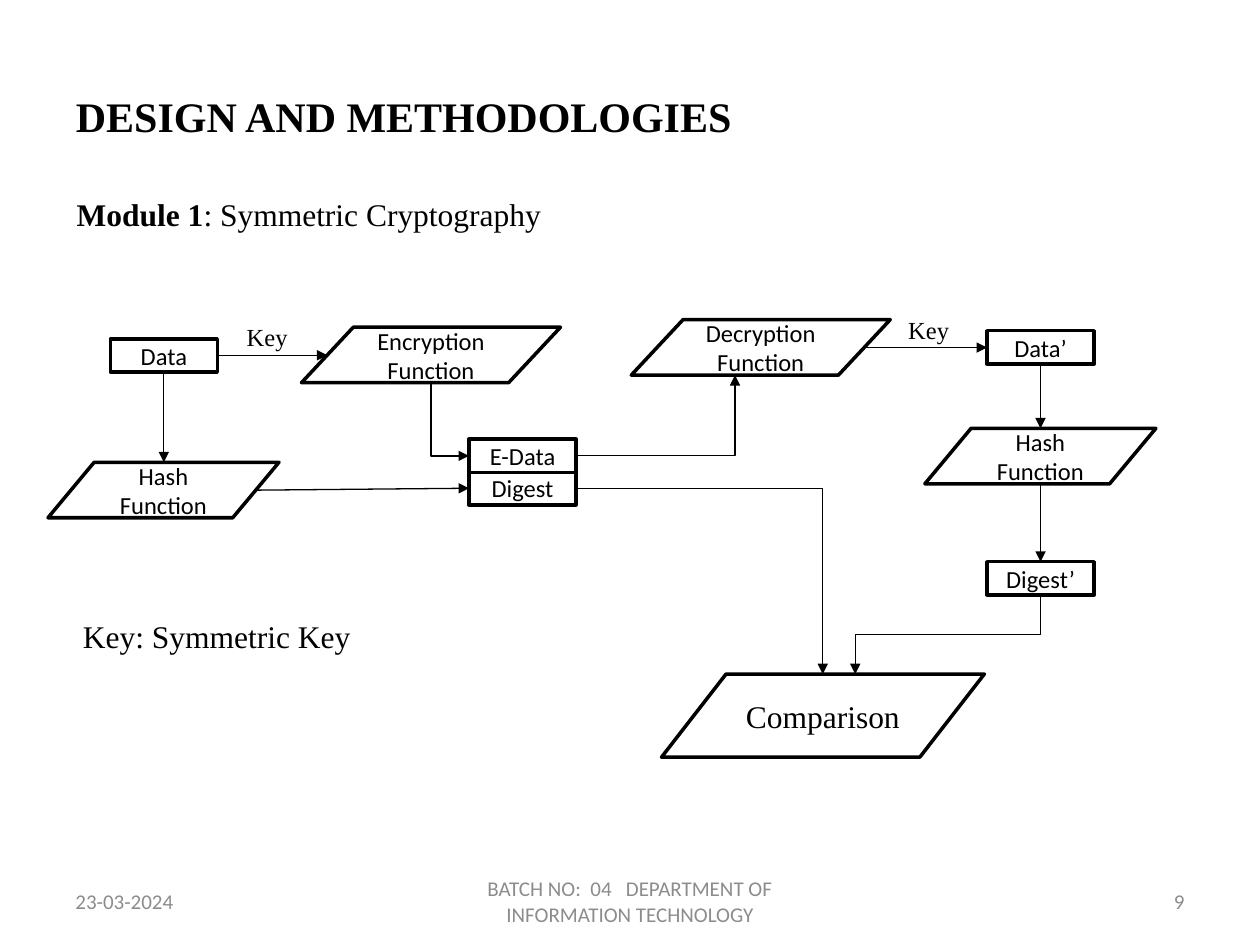
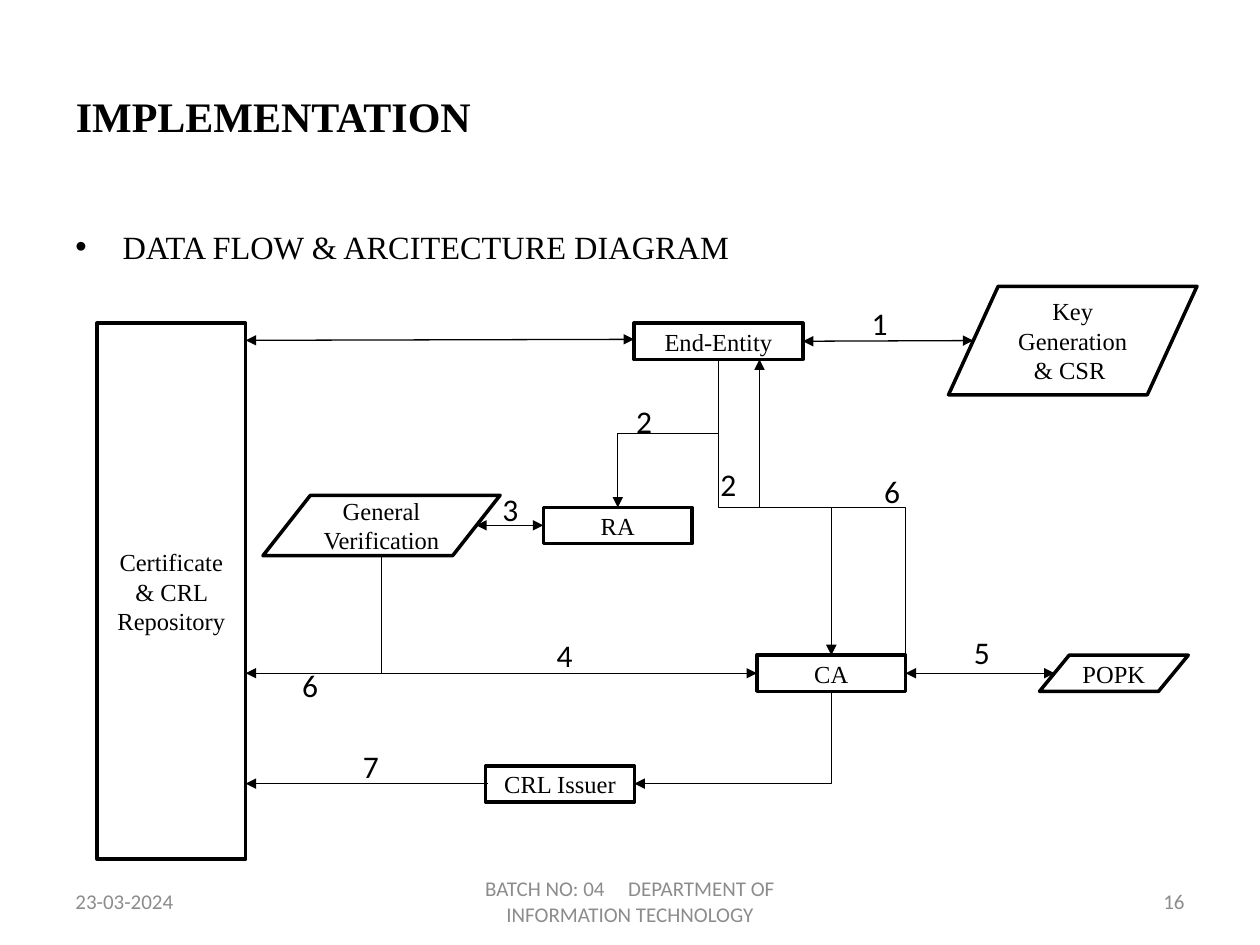
import pptx
import pptx.dml.color
import pptx.enum.shapes
import pptx.enum.text
import pptx.oxml.ns
import pptx.util
from lxml import etree

Pt = pptx.util.Pt
SHAPE = pptx.enum.shapes.MSO_SHAPE
CONNECTOR = pptx.enum.shapes.MSO_CONNECTOR
ALIGN = pptx.enum.text.PP_ALIGN
ANCHOR = pptx.enum.text.MSO_ANCHOR
qn = pptx.oxml.ns.qn

SERIF, SANS = "Times New Roman", "Calibri"
BLACK, WHITE, GRAY = "000000", "FFFFFF", "8C8C8C"
ONE_CORNER, TWO_CORNERS = "bentConnector2", "bentConnector3"


def color(value):
    return pptx.dml.color.RGBColor.from_string(value)


def write(frame, text, font=SERIF, size=14, ink=BLACK, bold=False, lead="",
          align=ALIGN.LEFT, anchor=ANCHOR.TOP):
    """Fill a text frame, one paragraph per line, after an optional bold lead."""
    frame.word_wrap = True
    frame.vertical_anchor = anchor
    for index, line in enumerate(text.split("\n")):
        para = frame.add_paragraph() if index else frame.paragraphs[0]
        para.alignment = align
        for words, heavy in ((lead, True), (line, bold)):
            if words:
                span = para.add_run()
                span.text = words
                span.font.name = font
                span.font.size = Pt(size)
                span.font.bold = heavy
                span.font.color.rgb = color(ink)


class Diagram:
    """Draws styled flow diagram elements on the current page."""

    def __init__(self, deck, node_font=SANS):
        self.deck = deck
        self.node_font = node_font
        self.page = None

    def start(self, title, footer, number, node_font):
        self.page = self.deck.slides.add_slide(self.deck.slide_layouts[6])
        self.node_font = node_font
        self.label(title, 36.3, 21, 648, 90, size=24, bold=True, anchor=ANCHOR.MIDDLE)
        for text, left, width, align in (
            ("23-03-2024", 36, 168, ALIGN.LEFT),
            (footer, 246, 228, ALIGN.CENTER),
            (number, 516, 168, ALIGN.RIGHT),
        ):
            self.label(text, left, 500.5, width, 28.8, font=SANS, size=12, ink=GRAY,
                       align=align, anchor=ANCHOR.MIDDLE)

    def label(self, text, left, top, width, height, **style):
        box = self.page.shapes.add_textbox(Pt(left), Pt(top), Pt(width), Pt(height))
        write(box.text_frame, text, **style)
        return box

    def bullet(self, text, left, top, width, height, size):
        box = self.label(text, left, top, width, height, size=size)
        para = box.text_frame.paragraphs[0]
        para.space_before = Pt(size * 0.2)
        props = para._p.get_or_add_pPr()
        props.set("marL", str(Pt(27)))
        props.set("indent", str(-Pt(27)))
        etree.SubElement(props, qn("a:buFont")).set("typeface", "Arial")
        etree.SubElement(props, qn("a:buChar")).set("char", "•")

    def node(self, text, left, top, width, height, kind=SHAPE.RECTANGLE, **style):
        box = self.page.shapes.add_shape(kind, Pt(left), Pt(top), Pt(width), Pt(height))
        box.shadow.inherit = False
        box.fill.solid()
        box.fill.fore_color.rgb = color(WHITE)
        box.line.color.rgb = color(BLACK)
        box.line.width = Pt(2)
        write(box.text_frame, text, **{"font": self.node_font, "align": ALIGN.CENTER,
                                       "anchor": ANCHOR.MIDDLE, **style})

    def function(self, text, left, top, width, height, **style):
        self.node(text, left, top, width, height, SHAPE.FLOWCHART_DATA, **style)

    def connect(self, kind, x1, y1, x2, y2, both=False):
        line = self.page.shapes.add_connector(kind, Pt(x1), Pt(y1), Pt(x2), Pt(y2))
        line.line.color.rgb = color(BLACK)
        line.line.width = Pt(0.75)
        stroke = line.line._get_or_add_ln()
        for end in ("a:headEnd", "a:tailEnd") if both else ("a:tailEnd",):
            etree.SubElement(stroke, qn(end)).set("type", "triangle")
        etree.SubElement(line._element.spPr, qn("a:effectLst"))
        return line

    def arrow(self, x1, y1, x2, y2, both=False):
        self.connect(CONNECTOR.STRAIGHT, x1, y1, x2, y2, both)

    def elbow(self, x1, y1, x2, y2, bend, upright=False):
        """Draw a bent arrow that leaves sideways, or vertically when upright."""
        turn = 0
        if upright:
            run, rise = x2 - x1, y2 - y1
            middle_x, middle_y = (x1 + x2) / 2, (y1 + y2) / 2
            turn, sign = (90, 0.5) if run < 0 < rise else (270, -0.5)
            x1, x2 = middle_x - sign * rise, middle_x + sign * rise
            y1, y2 = middle_y + sign * run, middle_y - sign * run
        line = self.connect(CONNECTOR.ELBOW, x1, y1, x2, y2)
        props = line._element.spPr
        props.find(qn("a:prstGeom")).set("prst", bend)
        if turn:
            props.find(qn("a:xfrm")).set("rot", str(turn * 60000))


def draw_cryptography(diagram):
    diagram.start("DESIGN AND METHODOLOGIES",
                  "BATCH NO:  04   DEPARTMENT OF INFORMATION TECHNOLOGY", "9", SANS)
    diagram.label(": Symmetric Cryptography", 36.7, 108, 306, 29, size=18, lead="Module 1")
    diagram.label("Key: Symmetric Key", 40.3, 349.2, 239, 29, size=18)
    for left, top in ((133.9, 180.7), (511.9, 176.4)):
        diagram.label("Key", left, top, 83.5, 24.5)

    for text, left, top in (
        ("Data", 63, 193.7), ("Digest", 268, 269.5), ("E-Data", 268, 251),
        ("Data’", 564, 189), ("Digest’", 564, 321),
    ):
        diagram.node(text, left, top, 61.2, 19)
    for text, left, top, width in (
        ("Hash Function", 27.4, 264.2, 132), ("Encryption Function", 172.3, 187, 148),
        ("Decryption Function", 360.7, 182.7, 148), ("Hash Function", 528.5, 244.8, 132),
    ):
        diagram.function(text, left, top, width, 31.7)
    diagram.function("Comparison", 378, 385.2, 184.5, 47.5, font=SERIF, size=18)

    for ends in (
        (93.6, 212.6, 93.6, 264.2), (124.2, 203, 187.1, 203), (146, 280.1, 268, 279),
        (494, 198.6, 564, 198.6), (594.6, 208, 594.6, 244.8), (594.6, 276.5, 594.6, 321),
    ):
        diagram.arrow(*ends)
    diagram.elbow(329.2, 260.5, 420, 214.4, ONE_CORNER)
    diagram.elbow(329.2, 279, 470.2, 385.2, ONE_CORNER)
    diagram.elbow(246.3, 218.7, 268, 260.5, ONE_CORNER, upright=True)
    diagram.elbow(594.6, 340, 488.7, 385.2, TWO_CORNERS, upright=True)


def draw_data_flow(diagram):
    diagram.start("IMPLEMENTATION",
                  "BATCH NO: 04     DEPARTMENT OF INFORMATION TECHNOLOGY", "16", SERIF)
    diagram.bullet("DATA FLOW & ARCITECTURE DIAGRAM", 36, 126, 648, 29, size=18.5)

    diagram.node("Certificate & CRL Repository", 55.4, 184.7, 85, 306.3)
    for text, left, top, width in (
        ("End-Entity", 362.3, 184.7, 96.5), ("RA", 310.5, 290, 85),
        ("CA", 432.5, 374.4, 85), ("CRL Issuer", 277.5, 437.7, 85),
    ):
        diagram.node(text, left, top, width, 20.7)
    diagram.function("POPK", 594, 374.4, 85, 20.7)
    diagram.function("Key Generation\n& CSR ", 542, 163.6, 142, 62)
    diagram.function("General Verification", 150.3, 283, 135.5, 34.5)

    for ends in (
        (140.4, 194.5, 362.3, 193.9), (458.8, 195, 556.2, 194.6),
        (517.5, 384.7, 602.6, 384.7), (272.2, 300.2, 310.5, 300.2),
    ):
        diagram.arrow(*ends, both=True)
    diagram.arrow(432.5, 384.7, 140.4, 384.7)
    diagram.arrow(278.6, 447.8, 140.4, 447.8)
    for ends, bend in (
        ((410.5, 205.4, 353, 290), TWO_CORNERS), ((410.5, 205.4, 475, 374.4), TWO_CORNERS),
        ((517.5, 374.4, 434, 205.4), TWO_CORNERS), ((218, 317.5, 432.5, 384.7), ONE_CORNER),
        ((475, 395.1, 362.5, 447.8), ONE_CORNER),
    ):
        diagram.elbow(*ends, bend, upright=True)

    for step, left, top in (
        ("1", 491, 170), ("2", 404.6, 262), ("2", 356.4, 226), ("3", 280, 276.5),
        ("4", 311, 360), ("5", 549.4, 358), ("6", 498.2, 266.4), ("6", 165.6, 377.3),
        ("7", 200.2, 423.4),
    ):
        diagram.label(step, left, top, 26, 29, font=SANS, size=18)


def main():
    deck = pptx.Presentation()
    deck.slide_width, deck.slide_height = Pt(720), Pt(540)
    diagram = Diagram(deck)
    draw_cryptography(diagram)
    draw_data_flow(diagram)
    deck.save("out.pptx")


if __name__ == "__main__":
    main()
